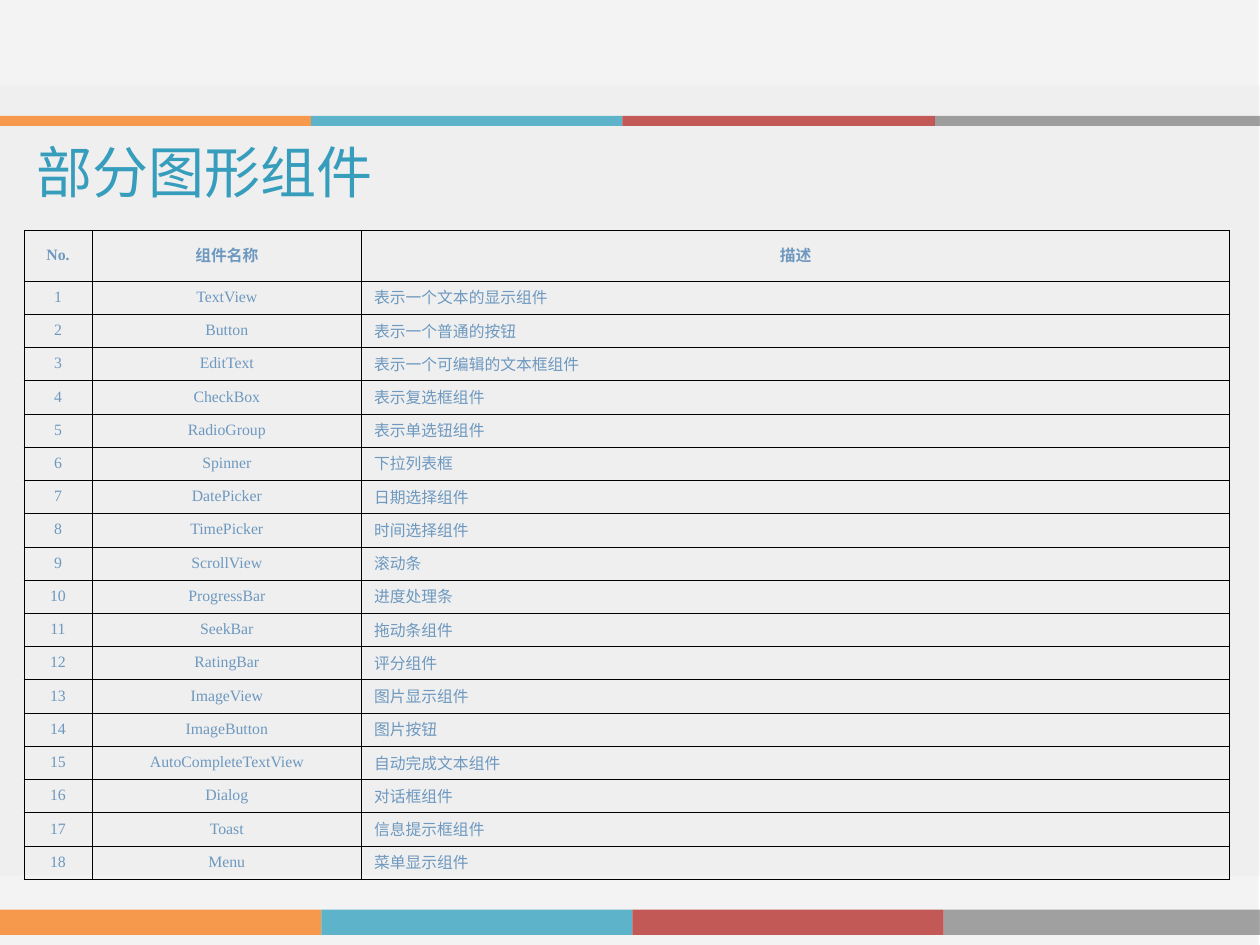
from dataclasses import dataclass

from lxml import etree
from pptx import Presentation
from pptx import util as u
from pptx.dml.color import RGBColor
from pptx.enum import shapes, text
from pptx.oxml.ns import qn

FONT = "Times New Roman"
COLORS = {
    "paper": "F2F2F2",
    "panel": "D8D8D8",
    "orange": "F79646",
    "teal": "4BACC6",
    "red": "C0504D",
    "black": "000000",
    "title": "379DBC",
    "body": "6D98BF",
}
HEADERS = ("No.", "组件名称", "描述")
COMPONENTS = (
    ("TextView", "表示一个文本的显示组件"),
    ("Button", "表示一个普通的按钮"),
    ("EditText", "表示一个可编辑的文本框组件"),
    ("CheckBox", "表示复选框组件"),
    ("RadioGroup", "表示单选钮组件"),
    ("Spinner", "下拉列表框"),
    ("DatePicker", "日期选择组件"),
    ("TimePicker", "时间选择组件"),
    ("ScrollView", "滚动条"),
    ("ProgressBar", "进度处理条"),
    ("SeekBar", "拖动条组件"),
    ("RatingBar", "评分组件"),
    ("ImageView", "图片显示组件"),
    ("ImageButton", "图片按钮"),
    ("AutoCompleteTextView", "自动完成文本组件"),
    ("Dialog", "对话框组件"),
    ("Toast", "信息提示框组件"),
    ("Menu", "菜单显示组件"),
)
COLUMN_WIDTHS = (0.54, 2.14, 6.89)
HEADER_HEIGHT, ROW_HEIGHT = 0.4, 0.25


@dataclass
class Band:
    left: float
    top: float
    width: float
    height: float
    color: str
    opacity: int


def stripe(top: float, height: float, edges: tuple[float, ...]) -> list[Band]:
    """Four coloured bands side by side, between successive edges."""
    paints = (("orange", 96), ("teal", 89), ("red", 94), ("black", 34))
    return [
        Band(left, top, right - left, height, color, opacity)
        for left, right, (color, opacity) in zip(edges, edges[1:], paints)
    ]


BANDS = [
    Band(-0.01, -0.02, 10, 7.52, "paper", 89),
    Band(0, 0.68, 10.04, 6.27, "panel", 14),
    *stripe(7.22, 0.2, (0, 2.55, 5.02, 7.49, 10)),
    *stripe(0.92, 0.08, (0, 2.47, 4.94, 7.42, 10)),
]


def draw_band(slide, band: Band) -> None:
    shape = slide.shapes.add_shape(
        shapes.MSO_SHAPE.RECTANGLE,
        u.Inches(band.left), u.Inches(band.top),
        u.Inches(band.width), u.Inches(band.height),
    )
    shape.shadow.inherit = False
    shape.line.fill.background()
    shape.fill.solid()
    shape.fill.fore_color.rgb = RGBColor.from_string(COLORS[band.color])
    color = shape.element.spPr.find(".//" + qn("a:srgbClr"))
    etree.SubElement(color, qn("a:alpha"), val=str(band.opacity * 1000))


def format_paragraph(paragraph, size: float, color: str, alignment, bold: bool = False) -> None:
    paragraph.alignment = alignment
    paragraph.line_spacing = 0.9
    for run in paragraph.runs:
        run.font.name = FONT
        run.font.size = u.Pt(size)
        run.font.bold = bold
        run.font.color.rgb = RGBColor.from_string(COLORS[color])


def draw_title(slide, wording: str) -> None:
    title = slide.shapes.title
    title.left, title.top = u.Inches(0.19), u.Inches(0.96)
    title.width, title.height = u.Inches(9.57), u.Inches(0.86)
    frame = title.text_frame
    frame.text = wording
    frame.auto_size = text.MSO_AUTO_SIZE.NONE
    frame.vertical_anchor = text.MSO_ANCHOR.MIDDLE
    format_paragraph(frame.paragraphs[0], 32, "title", text.PP_ALIGN.LEFT)
    title.element.getparent().append(title.element)  # in front of the bands


def add_borders(cell) -> None:
    properties = cell._tc.get_or_add_tcPr()
    for index, side in enumerate(("a:lnL", "a:lnR", "a:lnT", "a:lnB")):
        line = etree.Element(qn(side), w=str(u.Pt(0.45)))
        fill = etree.SubElement(line, qn("a:solidFill"))
        etree.SubElement(fill, qn("a:srgbClr"), val=COLORS["black"])
        properties.insert(index, line)


def fill_cell(cell, wording: str, centred: bool, bold: bool) -> None:
    cell.text_frame.text = wording
    cell.vertical_anchor = text.MSO_ANCHOR.MIDDLE
    cell.fill.background()
    add_borders(cell)
    paragraph = cell.text_frame.paragraphs[0]
    alignment = text.PP_ALIGN.CENTER if centred else text.PP_ALIGN.LEFT
    format_paragraph(paragraph, 9, "body", alignment, bold)
    paragraph.space_before = u.Pt(18)
    properties = paragraph._p.get_or_add_pPr()
    properties.set("marL", str(u.Inches(0.44)))
    properties.set("indent", str(u.Inches(-0.44)))


def draw_component_table(slide) -> None:
    rows = [HEADERS]
    rows += [(str(number), *item) for number, item in enumerate(COMPONENTS, 1)]
    table = slide.shapes.add_table(
        len(rows), len(HEADERS), u.Inches(0.19), u.Inches(1.83),
        u.Inches(sum(COLUMN_WIDTHS)),
        u.Inches(HEADER_HEIGHT + ROW_HEIGHT * len(COMPONENTS)),
    ).table
    table.first_row = table.horz_banding = False
    for column, width in zip(table.columns, COLUMN_WIDTHS):
        column.width = u.Inches(width)
    for row_index, row in enumerate(rows):
        is_header = row_index == 0
        table.rows[row_index].height = u.Inches(HEADER_HEIGHT if is_header else ROW_HEIGHT)
        for column_index, wording in enumerate(row):
            centred = is_header or column_index < 2
            fill_cell(table.cell(row_index, column_index), wording, centred, is_header)


def main() -> None:
    presentation = Presentation()
    presentation.slide_width, presentation.slide_height = u.Inches(10), u.Inches(7.5)
    slide = presentation.slides.add_slide(presentation.slide_layouts[5])
    for band in BANDS:
        draw_band(slide, band)
    draw_title(slide, "部分图形组件")
    draw_component_table(slide)
    presentation.save("out.pptx")


if __name__ == "__main__":
    main()
